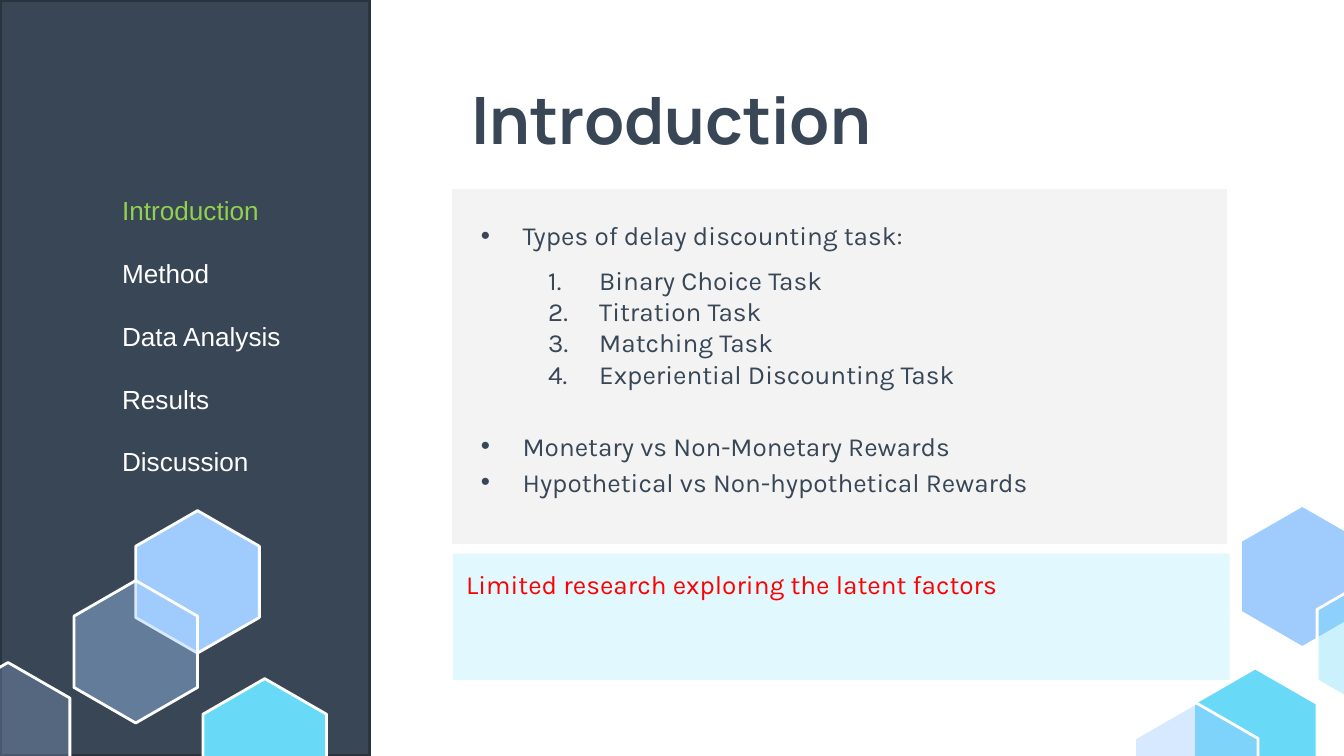
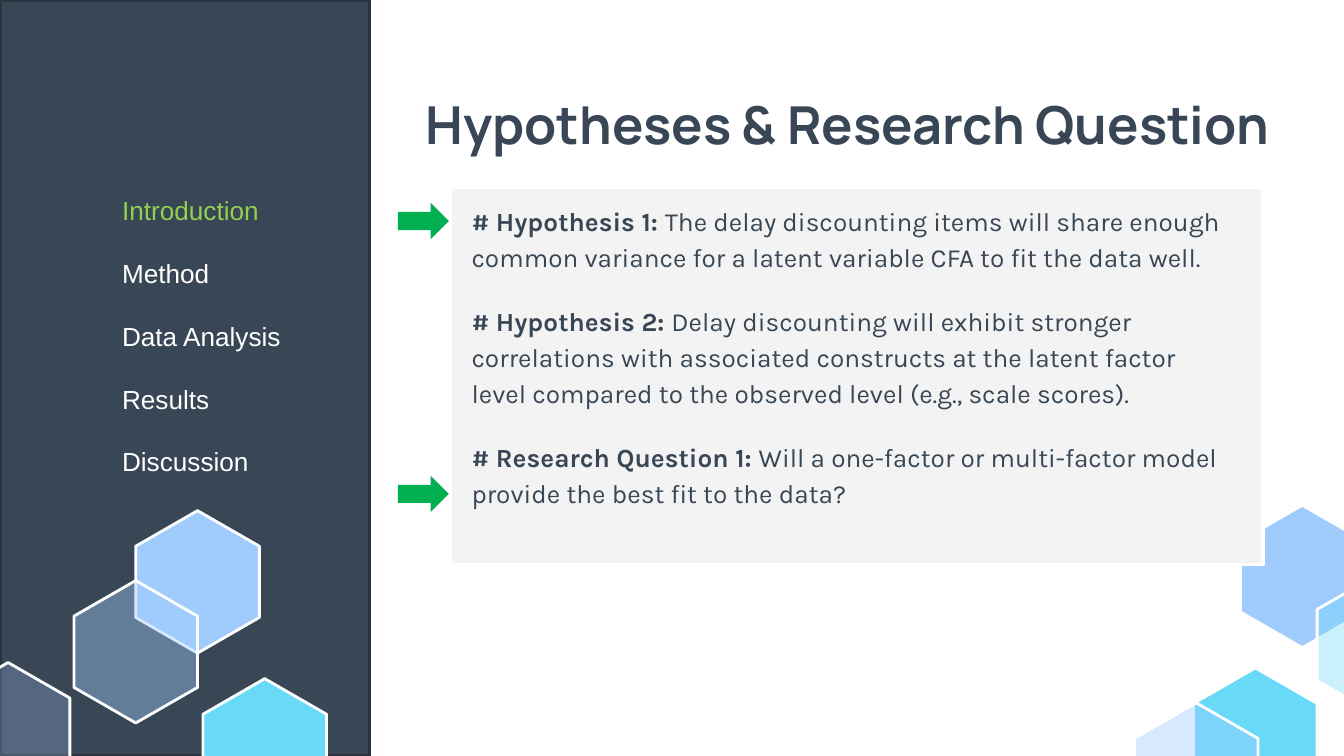
import lxml.etree
import pptx
import pptx.dml.color
import pptx.enum.shapes
import pptx.enum.text
import pptx.oxml.ns
import pptx.util

W = 10
H = W * 9 / 16
COLORS = {
    "white": "FFFFFF", "navy": "384655", "edge": "29343F", "panel": "F3F3F3",
    "note": "E1F8FE", "red": "FF0000", "active": "92D050", "arrow": "00B050",
    "blue": "9FCBFD", "cyan": "68DAF8", "periwinkle": "AFC7FF",
}
SECTIONS = ["Introduction", "Method", "Data Analysis", "Results", "Discussion"]
HEX_SIZE = (0.92, 1.06)
HEX_POINTS = [(0.5, 0), (1, 0.25), (1, 0.75), (0.5, 1), (0, 0.75), (0, 0.25)]
CORNER_HEXES = [
    (9.23, 3.76, "blue", 100), (8.88, 4.97, "cyan", 100),
    (9.8, 4.27, "cyan", 34), (8.44, 5.23, "blue", 41),
]
SIDEBAR_HEXES = [
    (1.01, 3.8, "blue", 100), (0.55, 4.32, "blue", 41),
    (-0.4, 4.93, "periwinkle", 25), (1.51, 5.05, "cyan", 100),
]
BULLET = {"bullet": "•", "left": 0.31, "hang": 0.31, "line": 1.15}
NUMBER = {"bullet": "1.", "left": 0.88, "hang": 0.38, "level": 1}
TASKS = ["Binary Choice Task", "Titration Task", "Matching Task", "Experiential Discounting Task"]
SLIDES = [
    {
        "title": ("Introduction", 35, (0.78, 0.49, 8.43, 0.63)),
        "panel": (3.35, 1.39, 5.79, 2.67),
        "body_box": (3.48, 1.5, 4.45, 2.64),
        "body": [
            ("Types of delay discounting task:", BULLET),
            *[(task, NUMBER | {"before": 0 if i else 6.9}) for i, task in enumerate(TASKS)],
            ("Monetary vs Non-Monetary Rewards", BULLET | {"before": 19.3}),
            ("Hypothetical vs Non-hypothetical Rewards", BULLET),
        ],
        "note": "Limited research exploring the latent factors",
        "arrows": [],
    },
    {
        "title": ("Hypotheses & Research Question", 28, (2.61, 0.59, 7.39, 0.63)),
        "panel": (3.35, 1.39, 6.05, 2.81),
        "body_box": (3.41, 1.39, 5.78, 2.64),
        "body": [
            ("The delay discounting items will share enough common variance for a latent "
             "variable CFA to fit the data well.",
             {"lead": "# Hypothesis 1: ", "line": 1.15}),
            ("Delay discounting will exhibit stronger correlations with associated constructs "
             "at the latent factor level compared to the observed level (e.g., scale scores).",
             {"lead": "# Hypothesis 2: ", "line": 1.15, "before": 15}),
            ("Will a one-factor or multi-factor model provide the best fit to the data?",
             {"lead": "# Research Question 1: ", "line": 1.15, "before": 15}),
        ],
        "note": None,
        "arrows": [1.51, 3.54],
    },
]


def rgb(name):
    return pptx.dml.color.RGBColor.from_string(COLORS[name])


def inches(values):
    return [pptx.util.Inches(v) for v in values]


def paint(sp, fill, line=None, width=1.5, opacity=100):
    sp.shadow.inherit = False
    sp.fill.solid()
    sp.fill.fore_color.rgb = rgb(fill)
    if opacity < 100:
        clr = sp.fill._xPr.find(".//" + pptx.oxml.ns.qn("a:srgbClr"))
        alpha = lxml.etree.SubElement(clr, pptx.oxml.ns.qn("a:alpha"))
        alpha.set("val", str(opacity * 1000))
    if line:
        sp.line.color.rgb = rgb(line)
        sp.line.width = pptx.util.Pt(width)
    else:
        sp.line.fill.background()


def add_box(s, box, fill, line=None, kind="RECTANGLE"):
    shape_type = getattr(pptx.enum.shapes.MSO_SHAPE, kind)
    paint(s.shapes.add_shape(shape_type, *inches(box)), fill, line, width=2)


def add_hexes(s, hexes):
    for x, y, fill, opacity in hexes:
        points = [inches((x + u * HEX_SIZE[0], y + v * HEX_SIZE[1])) for u, v in HEX_POINTS]
        builder = s.shapes.build_freeform(*points[0])
        builder.add_line_segments(points[1:], close=True)
        paint(builder.convert_to_shape(), fill, "white", opacity=opacity)


def add_bullet(p, bullet, left, hang):
    pPr = p._p.get_or_add_pPr()
    pPr.set("marL", str(pptx.util.Inches(left)))
    pPr.set("indent", str(-pptx.util.Inches(hang)))
    numbered = bullet == "1."
    if not numbered:
        font = lxml.etree.SubElement(pPr, pptx.oxml.ns.qn("a:buFont"))
        font.set("typeface", "Arial")
    tag, key, value = ("a:buAutoNum", "type", "arabicPeriod") if numbered else ("a:buChar", "char", bullet)
    lxml.etree.SubElement(pPr, pptx.oxml.ns.qn(tag)).set(key, value)


def add_text(s, box, paragraphs, size=14, font="Karla", color="navy", bold=False, align="LEFT", inset=0.1):
    tf = s.shapes.add_textbox(*inches(box)).text_frame
    tf.word_wrap = True
    tf.margin_top = tf.margin_bottom = pptx.util.Inches(inset)
    for i, (text, fmt) in enumerate(paragraphs):
        p = tf.add_paragraph() if i else tf.paragraphs[0]
        p.alignment = getattr(pptx.enum.text.PP_ALIGN, align)
        p.level = fmt.get("level", 0)
        p.line_spacing = fmt.get("line", 1.0)
        p.space_before = pptx.util.Pt(fmt.get("before", 0))
        if "bullet" in fmt:
            add_bullet(p, fmt["bullet"], fmt["left"], fmt["hang"])
        for part, heavy in ((fmt.get("lead"), True), (text, bold)):
            if part:
                r = p.add_run()
                r.text = part
                r.font.name = font
                r.font.size = pptx.util.Pt(size)
                r.font.bold = heavy
                r.font.color.rgb = rgb(fmt.get("color", color))


def add_sidebar_menu(s, active):
    items = [
        (name, {"color": "active" if name == active else "white", "before": 16.8 if i else 0})
        for i, name in enumerate(SECTIONS)
    ]
    add_text(s, (0.81, 1.4, 1.73, 2.22), items, font="Arial", inset=0.05)


def build_slide(prs, content):
    s = prs.slides.add_slide(prs.slide_layouts[6])
    add_hexes(s, CORNER_HEXES)
    add_box(s, content["panel"], "panel", "white")
    add_box(s, (0, 0, 2.75, H), "navy", "edge")
    title, size, title_box = content["title"]
    add_text(s, title_box, [(title, {})], size=size, font="Manrope", bold=True, align="CENTER")
    add_text(s, content["body_box"], content["body"])
    add_hexes(s, SIDEBAR_HEXES)
    if content["note"]:
        add_box(s, (3.37, 4.12, 5.78, 0.94), "note")
        add_text(s, (3.37, 4.18, 5.91, 0.34), [(content["note"], {})], color="red", inset=0.05)
    for y in content["arrows"]:
        add_box(s, (2.96, y, 0.38, 0.27), "arrow", kind="RIGHT_ARROW")
    add_sidebar_menu(s, "Introduction")


def main():
    """Build the two introduction slides."""
    prs = pptx.Presentation()
    prs.slide_width, prs.slide_height = inches((W, H))
    for content in SLIDES:
        build_slide(prs, content)
    prs.save("out.pptx")


if __name__ == "__main__":
    main()
